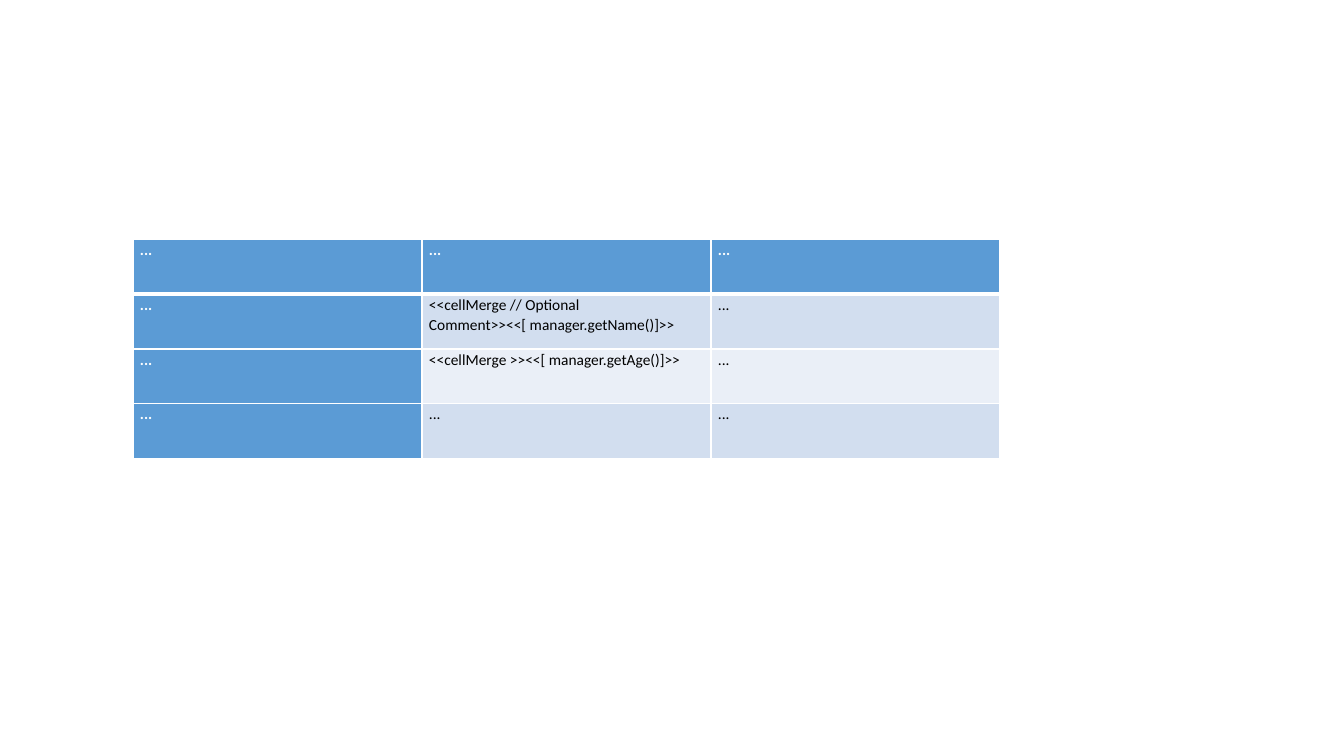
from lxml import etree
from pptx import Presentation
from pptx.dml.color import RGBColor
from pptx.oxml.ns import qn
from pptx.util import Pt

EMU_PER_PX = 914400 / 100.8
WHITE, BLACK, BLUE = "FFFFFF", "000000", "5B9BD5"
BANDS = ["D2DEEF", "EAEFF7"]
COLUMN_WIDTH, ROW_HEIGHT = 289, 55
MANAGER_ROWS = [
    ["...", "...", "..."],
    ["...", "<<cellMerge // Optional Comment>><<[ manager.getName()]>>", "..."],
    ["...", "<<cellMerge >><<[ manager.getAge()]>>", "..."],
    ["...", "...", "..."],
]


def px(length):
    return round(length * EMU_PER_PX)


def add_border(cell, side, points):
    """Draw a white line on one side (L, R, T or B); call before filling."""
    line = etree.SubElement(cell._tc.get_or_add_tcPr(), qn(f"a:ln{side}"), w=str(Pt(points)))
    fill = etree.SubElement(line, qn("a:solidFill"))
    etree.SubElement(fill, qn("a:srgbClr"), val=WHITE)


prs = Presentation()
prs.slide_width, prs.slide_height = px(1344), px(756)
slide = prs.slides.add_slide(prs.slide_layouts[6])

row_count, column_count = len(MANAGER_ROWS), len(MANAGER_ROWS[0])
managers = slide.shapes.add_table(
    row_count, column_count, px(133), px(239),
    px(COLUMN_WIDTH * column_count), px(ROW_HEIGHT * row_count),
).table
managers.first_col = True
for column in managers.columns:
    column.width = px(COLUMN_WIDTH)
for row in managers.rows:
    row.height = px(ROW_HEIGHT)

for r, values in enumerate(MANAGER_ROWS):
    for c, value in enumerate(values):
        cell = managers.cell(r, c)
        is_heading = r == 0 or c == 0
        cell.margin_left = cell.margin_right = px(7)
        cell.margin_top = cell.margin_bottom = 0

        add_border(cell, "L", 1)
        add_border(cell, "R", 1)
        add_border(cell, "T", 3 if r == 1 else 1)
        add_border(cell, "B", 3 if r == 0 else 1)
        cell.fill.solid()
        cell.fill.fore_color.rgb = RGBColor.from_string(BLUE if is_heading else BANDS[(r - 1) % 2])

        cell.text = value
        paragraph = cell.text_frame.paragraphs[0]
        paragraph.line_spacing = 1.07
        font = paragraph.font
        font.name, font.size, font.bold = "Calibri", Pt(11), is_heading
        font.color.rgb = RGBColor.from_string(WHITE if is_heading else BLACK)

prs.save("out.pptx")
